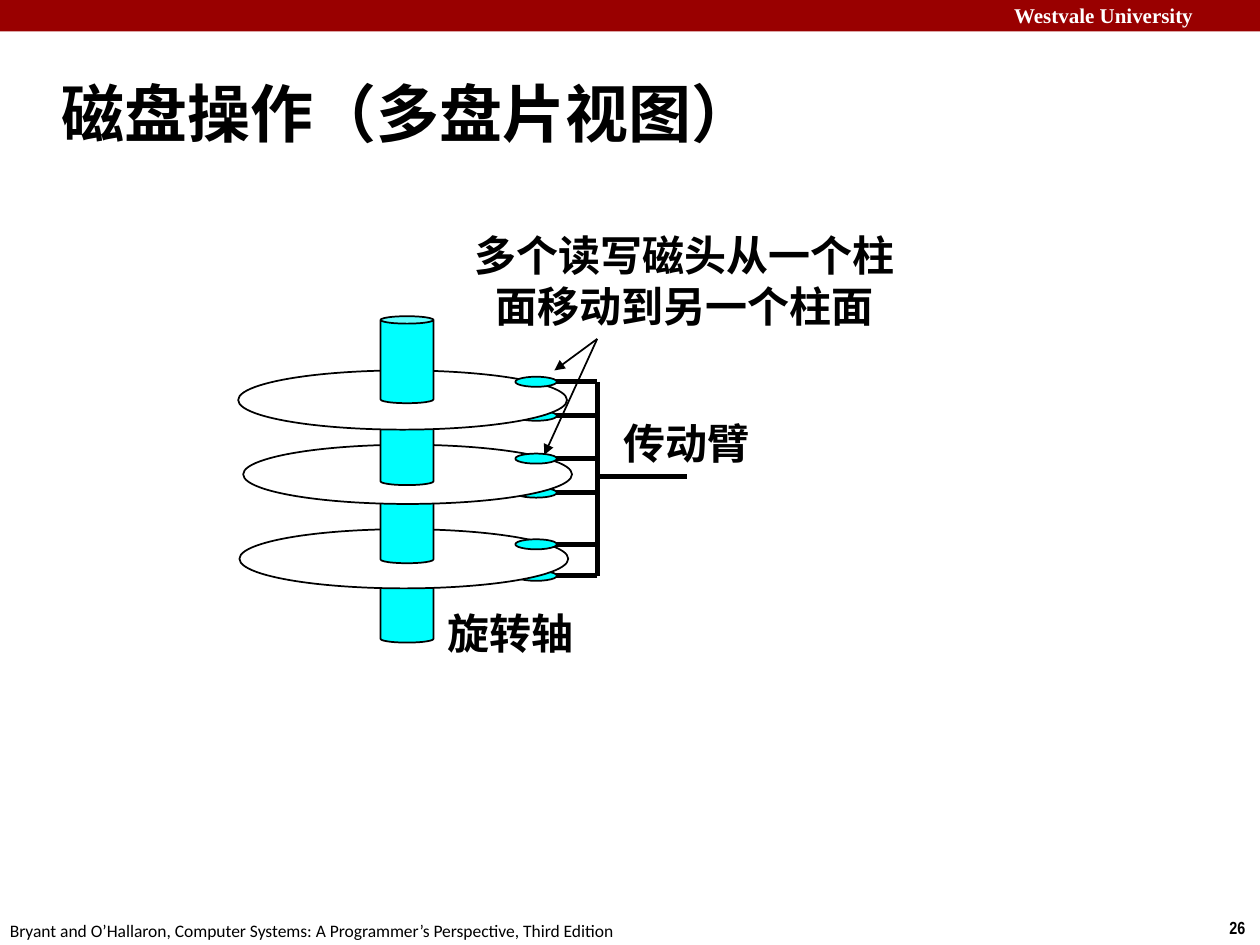
"""Build the slide on multi-platter disk operation."""
from pptx import Presentation
from pptx import util as u
from pptx.dml.color import RGBColor
from pptx.enum import shapes, text
from pptx.oxml.ns import qn
from lxml import etree

PX = 9144
BLACK = RGBColor(0, 0, 0)
WHITE = RGBColor(255, 255, 255)
CYAN = RGBColor(0, 255, 255)
MAROON = RGBColor(0x99, 0, 0)

deck = Presentation()
deck.slide_width, deck.slide_height = 1000 * PX, 750 * PX
slide = deck.slides.add_slide(deck.slide_layouts[5])


def add_part(kind, left, top, width, height, fill, outline=BLACK):
    part = slide.shapes.add_shape(kind, left * PX, top * PX, width * PX, height * PX)
    part.shadow.inherit = False
    part.fill.solid()
    part.fill.fore_color.rgb = fill
    if outline is None:
        part.line.fill.background()
    else:
        part.line.color.rgb = outline
        part.line.width = u.Pt(1)
    return part


def add_line(x1, y1, x2, y2, width=3, arrow=False):
    line = slide.shapes.add_connector(
        shapes.MSO_CONNECTOR.STRAIGHT, x1 * PX, y1 * PX, x2 * PX, y2 * PX)
    line.line.color.rgb = BLACK
    line.line.width = u.Pt(width)
    if arrow:
        etree.SubElement(line.line._get_or_add_ln(), qn("a:tailEnd"), type="triangle")
    etree.SubElement(line._element.spPr, qn("a:effectLst"))


add_part(shapes.MSO_SHAPE.RECTANGLE, 0, 0, 1000, 25, MAROON, None)

title = slide.shapes.title
title.left, title.top, title.width, title.height = 39 * PX, 48 * PX, 830 * PX, 83 * PX
title.text_frame.text = "磁盘操作（多盘片视图）"
title.text_frame.vertical_anchor = text.MSO_ANCHOR.MIDDLE
title.text_frame.auto_size = text.MSO_AUTO_SIZE.NONE
heading = title.text_frame.paragraphs[0]
heading.alignment = text.PP_ALIGN.LEFT
heading_props = heading._p.get_or_add_pPr()
heading_props.set("marL", str(13 * PX))
heading_props.set("indent", str(-13 * PX))
heading_font = heading.runs[0].font
heading_font.name, heading_font.size, heading_font.bold = "Calibri", u.Pt(36), True
heading_font.color.rgb = BLACK

OVAL, CAN = shapes.MSO_SHAPE.OVAL, shapes.MSO_SHAPE.CAN
ARM_X, HEAD_X = 474, 409
platters = [
    (190, 420, 441, 432, 457),
    (193, 353, 378, 364, 391),
    (189, 294, 316, 303, 330),
]
spindle_parts = []
for disk_left, disk_top, spindle_top, upper_y, lower_y in platters:
    add_line(ARM_X, lower_y, 424, lower_y)
    add_part(OVAL, HEAD_X, lower_y - 4, 33, 8, CYAN)
    spindle_parts.append(add_part(CAN, 302, spindle_top, 42, 69, CYAN))
    add_part(OVAL, disk_left, disk_top, 261, 47, WHITE)
    add_line(ARM_X, upper_y, 424, upper_y)
    add_part(OVAL, HEAD_X, upper_y - 4, 33, 8, CYAN)
spindle_parts.append(add_part(CAN, 302, 251, 42, 69, CYAN))
for spindle in spindle_parts:
    spindle.adjustments[0] = 0.14

add_line(ARM_X, 303, ARM_X, 457)
add_line(ARM_X, 378, 545, 378)
add_line(ARM_X, 269, 440, 294, 1, True)
add_line(ARM_X, 269, 432, 361, 1, True)

LEFT, CENTER = text.PP_ALIGN.LEFT, text.PP_ALIGN.CENTER
TOP, MIDDLE = text.MSO_ANCHOR.TOP, text.MSO_ANCHOR.MIDDLE
labels = [
    ("Westvale University", 795, -3, 212, 30, 12, "Times New Roman", WHITE, True, LEFT, TOP, True),
    ("26", 966, 723, 34, 27, 10, "Arial Narrow", BLACK, True, LEFT, TOP, False),
    ("Bryant and O’Hallaron, Computer Systems: A Programmer’s Perspective, Third Edition",
     -2, 725, 509, 27, 10, "Calibri", BLACK, False, LEFT, TOP, False),
    ("传动臂", 485, 326, 122, 50, 24, "Arial Narrow", BLACK, True, LEFT, MIDDLE, False),
    ("多个读写磁头从一个柱面移动到另一个柱面",
     355, 177, 377, 91, 24, "Arial Narrow", BLACK, True, CENTER, MIDDLE, True),
    ("旋转轴", 344, 477, 122, 50, 24, "Arial Narrow", BLACK, True, CENTER, MIDDLE, False),
]
for words, left, top, width, height, size, face, color, bold, align, anchor, wrap in labels:
    label = slide.shapes.add_textbox(left * PX, top * PX, width * PX, height * PX)
    frame = label.text_frame
    frame.text = words
    frame.word_wrap = wrap
    frame.vertical_anchor = anchor
    frame.auto_size = text.MSO_AUTO_SIZE.SHAPE_TO_FIT_TEXT
    frame.paragraphs[0].alignment = align
    font = frame.paragraphs[0].runs[0].font
    font.name, font.size, font.bold = face, u.Pt(size), bold
    font.color.rgb = color

deck.save("out.pptx")
